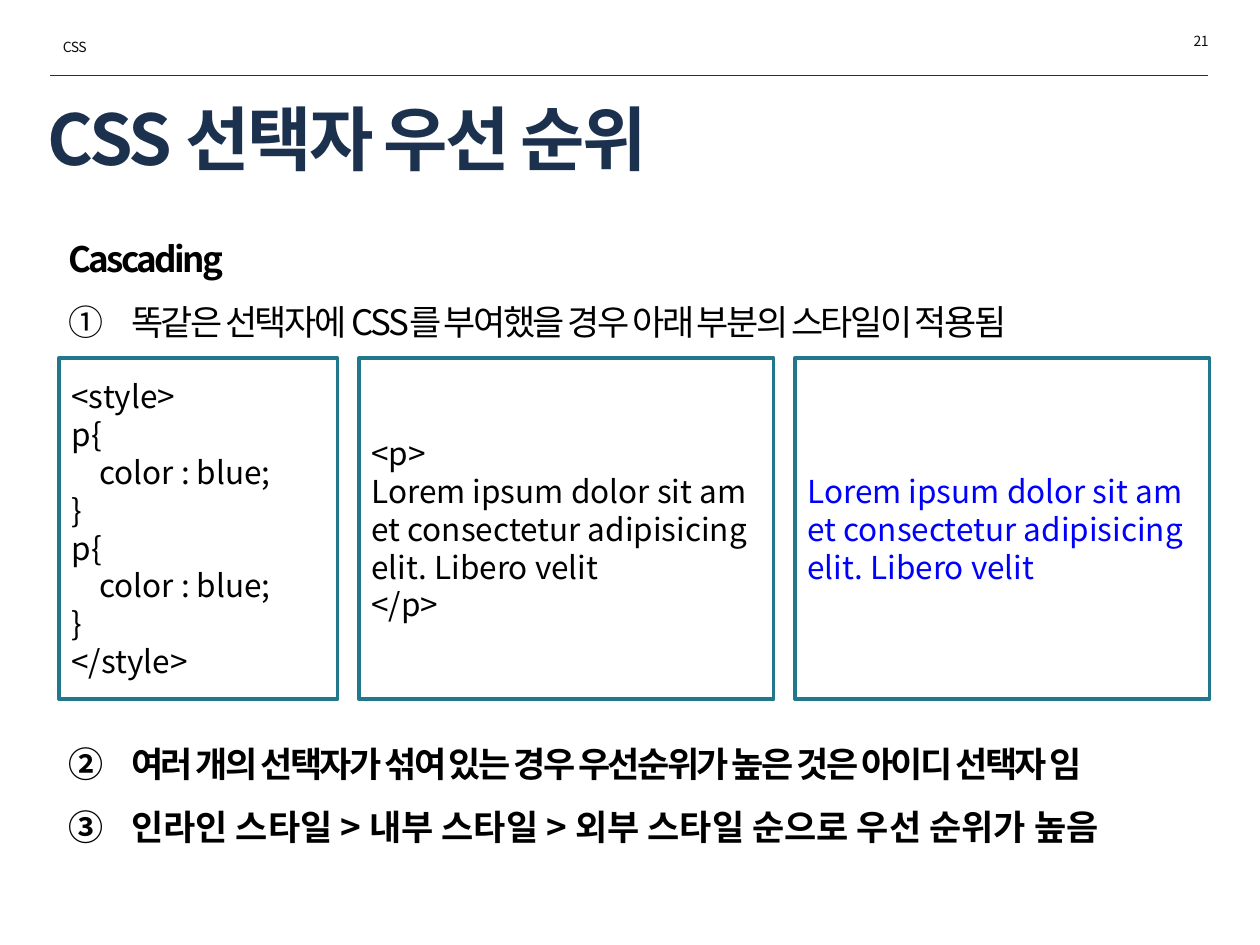
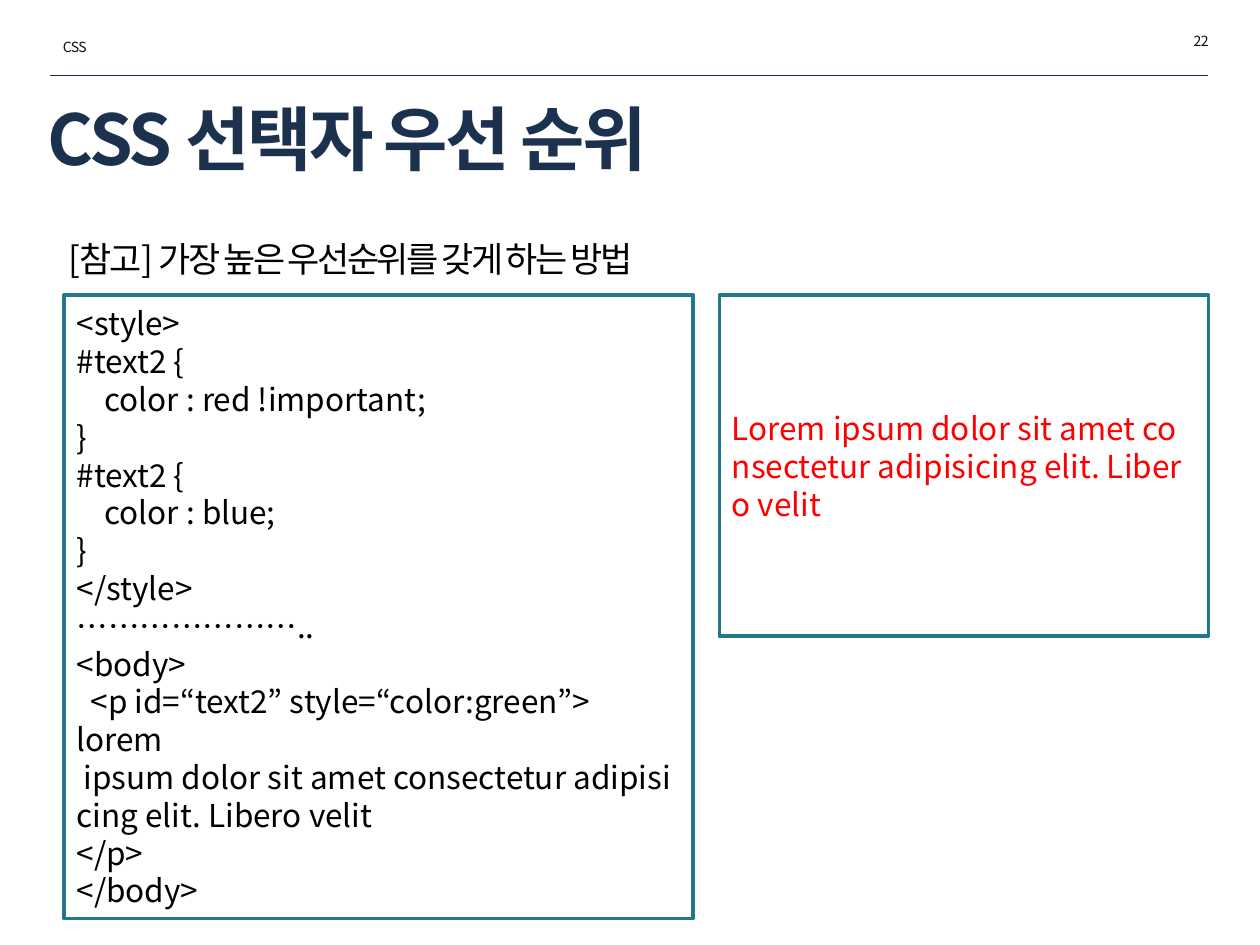
from dataclasses import dataclass

from lxml.etree import SubElement
from pptx import Presentation
from pptx.dml.color import RGBColor as RGB
from pptx.enum.shapes import MSO_CONNECTOR as LINK, MSO_SHAPE as SHAPE
from pptx.enum.text import MSO_ANCHOR as ANCHOR, MSO_AUTO_SIZE as FIT, PP_ALIGN as ALIGN
from pptx.oxml.ns import qn
from pptx.util import Pt


@dataclass(frozen=True)
class Theme:
    face: str = "Noto Sans CJK KR"
    navy: str = "1C314E"
    teal: str = "21788D"
    ink: str = "000000"
    gray: str = "0D0D0D"
    blue: str = "0000FF"
    red: str = "FF0000"
    head: int = 40
    list: int = 20
    code: int = 18
    note: int = 8
    tight: float = -1.5


LEFT, RIGHT = 28.8, 690.5
BODY_TOP = 120.2
BOX_HIGH = 195.1
TITLE = "CSS 선택자 우선 순위"
# Hard spaces let the sample text break inside words
HARD = chr(160)
TAIL = HARD.join("ipsum dolor sit amet consectetur adipisicing elit. Libero velit".split())
LOREM = f"Lorem{HARD}{TAIL}"


def put(obj, **fmt):
    for name, value in fmt.items():
        setattr(obj, name, value)


class Deck:
    def __init__(self, theme):
        self.theme = theme
        self.prs = Presentation()
        put(self.prs, slide_width=Pt(720), slide_height=Pt(540))
        self.slide = None

    def place(self, shape, left, top, width, height):
        put(shape, left=Pt(left), top=Pt(top), width=Pt(width), height=Pt(height))

    def label(self, para, text, size, color, bold=False, track=0, **fmt):
        """Add one run to a paragraph; track is letter spacing in points."""
        put(para, **fmt)
        run = para.add_run()
        run.text = text
        put(run.font, size=Pt(size), bold=bold, name=self.theme.face)
        run.font.color.rgb = RGB.from_string(color)
        props = run._r.get_or_add_rPr()
        SubElement(props, qn("a:ea")).set("typeface", self.theme.face)
        if track:
            props.set("spc", str(round(track * 100)))

    def indent(self, para, left, first=0):
        props = para._p.get_or_add_pPr()
        props.set("marL", str(Pt(left)))
        props.set("indent", str(Pt(first)))
        return props

    def paras(self, frame, count):
        for _ in range(count - 1):
            frame.add_paragraph()
        return frame.paragraphs

    def start(self, title, number):
        """Open a slide with its title, rule and running heads."""
        look = self.theme
        self.slide = self.prs.slides.add_slide(self.prs.slide_layouts[1])
        self.rule(43.2)
        self.note("CSS", LEFT, 18.7, ALIGN.LEFT)
        self.note(str(number), 573.1, 15.1, ALIGN.RIGHT)
        head = self.slide.shapes.title
        self.place(head, 20.2, 55.4, 666.7, 46.1)
        put(head.text_frame, vertical_anchor=ANCHOR.MIDDLE, auto_size=FIT.NONE)
        self.label(head.text_frame.paragraphs[0], title, look.head, look.navy,
                   True, look.tight, alignment=ALIGN.LEFT)

    def rule(self, top):
        line = self.slide.shapes.add_connector(
            LINK.STRAIGHT, Pt(LEFT), Pt(top), Pt(RIGHT), Pt(top))
        line.line.width = Pt(0.25)
        line.line.color.rgb = RGB.from_string(self.theme.navy)
        SubElement(line._element.spPr, qn("a:effectLst"))

    def note(self, text, left, top, align):
        look = self.theme
        box = self.slide.shapes.add_textbox(Pt(left), Pt(top), Pt(124.6), Pt(17.3))
        put(box.text_frame, word_wrap=True, auto_size=FIT.SHAPE_TO_FIT_TEXT)
        self.label(box.text_frame.paragraphs[0], text, look.note, look.gray,
                   track=-0.3, alignment=align)

    def body(self, height, items):
        """Fill the list; an item is (text, numbered, bold, track, gap above)."""
        look = self.theme
        shape = self.slide.placeholders[1]
        self.place(shape, LEFT, BODY_TOP, RIGHT - LEFT, height)
        shape.text_frame.auto_size = FIT.NONE
        rows = self.paras(shape.text_frame, len(items))
        for para, (text, numbered, bold, track, gap) in zip(rows, items):
            self.label(para, text, look.list, look.ink, bold, track,
                       line_spacing=1.5, space_before=Pt(gap), alignment=ALIGN.LEFT)
            if numbered:
                props = self.indent(para, 38.9, -36)
                SubElement(props, qn("a:buAutoNum")).set("type", "circleNumDbPlain")
            else:
                SubElement(self.indent(para, 2.9), qn("a:buNone"))

    def box(self, left, top, width, height, lines, color=None, align=ALIGN.LEFT):
        """Draw a framed box; a line is text or (text, left margin, first indent)."""
        look = self.theme
        shape = self.slide.shapes.add_shape(
            SHAPE.RECTANGLE, Pt(left), Pt(top), Pt(width), Pt(height))
        shape.shadow.inherit = False
        shape.fill.background()
        shape.line.width = Pt(2)
        shape.line.color.rgb = RGB.from_string(look.teal)
        put(shape.text_frame, word_wrap=True, vertical_anchor=ANCHOR.MIDDLE)
        for para, line in zip(self.paras(shape.text_frame, len(lines)), lines):
            text, *shift = (line,) if isinstance(line, str) else line
            self.label(para, text, look.code, color or look.ink, alignment=align)
            if shift:
                self.indent(para, *shift)


def css(name, *values):
    """List the lines of a style block with one rule per value."""
    rules = [[name, (f"color : {value};", 16, 0), "}"] for value in values]
    return ["<style>", *sum(rules, []), "</style>"]


def cascade(deck):
    tight = deck.theme.tight
    deck.start(TITLE, 21)
    deck.body(90.7, [
        ("Cascading", False, True, tight, 0),
        ("똑같은 선택자에 CSS를 부여했을 경우 아래 부분의 스타일이 적용됨", True, False, tight, 0),
        ("여러 개의 선택자가 섞여 있는 경우 우선순위가 높은 것은 아이디 선택자 임",
         True, True, tight, 216.5),
        ("인라인 스타일 > 내부 스타일 > 외부 스타일 순으로 우선 순위가 높음", True, True, 0, 0),
    ])
    top, wide = 204.5, 236.9
    deck.box(33.8, top, 159.1, BOX_HIGH, css("p{", "blue", "blue"))
    deck.box(205.2, top, wide, BOX_HIGH, [f"<p> {LOREM}", "</p>"], align=ALIGN.JUSTIFY)
    deck.box(454.3, top, wide, BOX_HIGH, [LOREM], deck.theme.blue, ALIGN.JUSTIFY)


def force(deck):
    deck.start(TITLE, 22)
    deck.body(46.1, [
        ("[참고] 가장 높은 우선순위를 갖게 하는 방법", False, False, deck.theme.tight, 0),
    ])
    top = 168.5
    page = [
        "…………………..",
        "<body>",
        (f"<p id=“text2” style=“color:green”> lorem {HARD}{TAIL}", 0, 8),
        "</p>",
        "</body>",
    ]
    deck.box(36.7, top, 359.3, 356.4, css("#text2 {", "red !important", "blue") + page)
    deck.box(411.1, top, 279.4, BOX_HIGH, [LOREM], deck.theme.red, ALIGN.JUSTIFY)


def main():
    deck = Deck(Theme())
    cascade(deck)
    force(deck)
    deck.prs.save("out.pptx")


if __name__ == "__main__":
    main()
